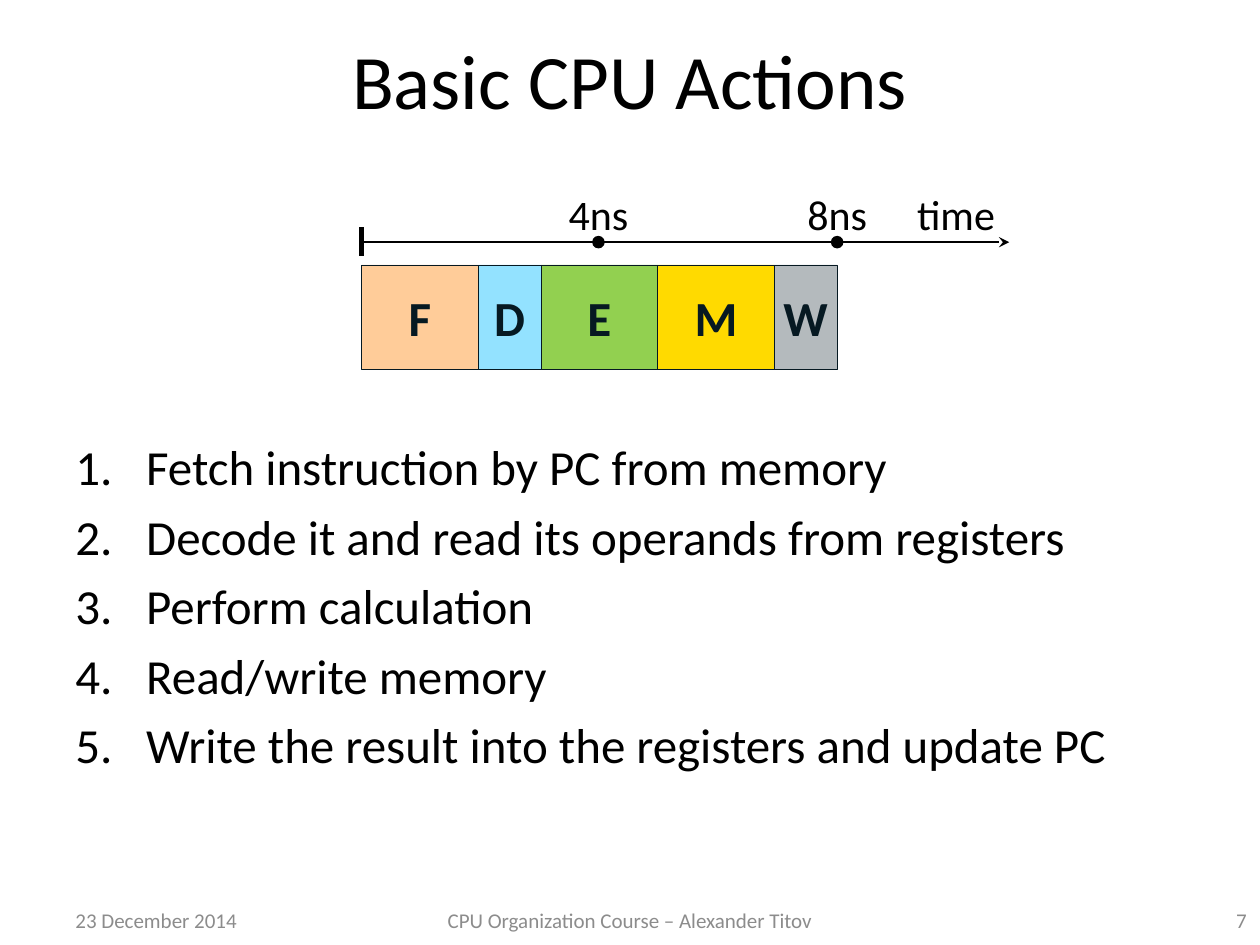
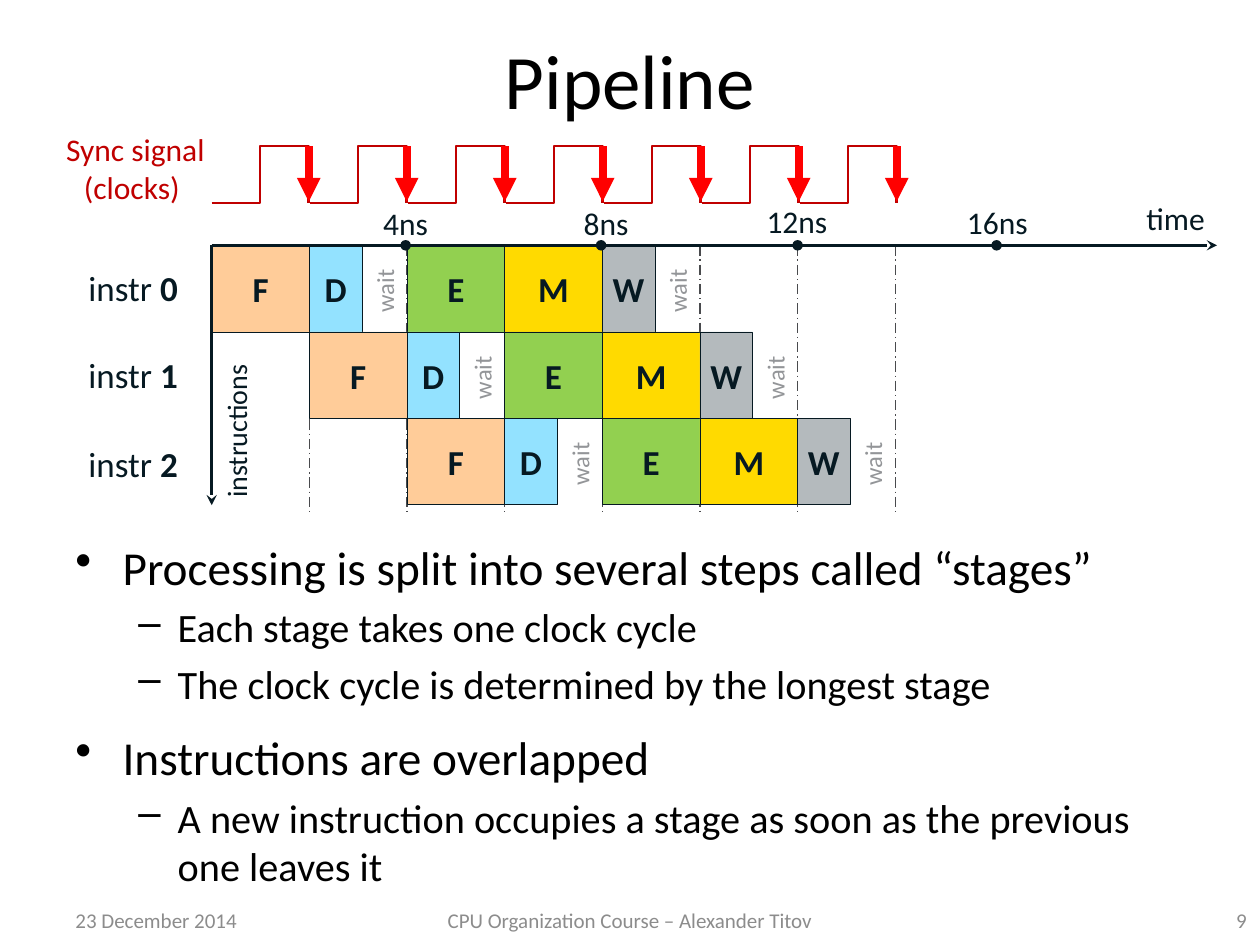
"""Build two slides on basic CPU actions and pipelining."""
from lxml import etree
from pptx import Presentation
from pptx import util as u
from pptx.dml import color
from pptx.enum import dml, shapes, text
from pptx.oxml import ns

FONT = "Calibri"
BLACK, INK, GREY, FOOT = "000000", "061922", "939598", "8C8C8C"
DASH, SIGNAL, CLOCK = "494A4D", "C00000", "FF0000"
LEFT, CENTER, RIGHT = text.PP_ALIGN.LEFT, text.PP_ALIGN.CENTER, text.PP_ALIGN.RIGHT
TOP, MIDDLE = text.MSO_ANCHOR.TOP, text.MSO_ANCHOR.MIDDLE

FOOTER_DATE = "23 December 2014"
FOOTER_COURSE = "CPU Organization Course – Alexander Titov"
STAGES = [
    ("F", "FFCC99", True),
    ("D", "93E2FF", False),
    ("E", "92D050", True),
    ("M", "FFDA00", True),
    ("W", "B4BABD", False),
]

ACTIONS = [
    "Fetch instruction by PC from memory",
    "Decode it and read its operands from registers",
    "Perform calculation",
    "Read/write memory",
    "Write the result into the registers and update PC",
]
ACTION_TICKS = [("4ns", 342, 342, 104.4), ("8ns", 478.4, 478.4, 104.4)]

POINTS = [
    (0, "Processing is split into several steps called “stages”", 5.4),
    (1, "Each stage takes one clock cycle", 4.6),
    (1, "The clock cycle is determined by the longest stage", 4.6),
    (0, "Instructions are overlapped", 12),
    (1, "A new instruction occupies a stage as soon as the previous one leaves it", 4.6),
]
POINT_LEVELS = [(27, 27, 27, "•"), (23, 58.5, 22.5, "–")]
PIPELINE_TICKS = [
    ("4ns", 231.8, 231.8, 113),
    ("8ns", 343.5, 346.3, 113),
    ("12ns", 455.8, 455.4, 111.6),
    ("16ns", 569.5, 569.9, 112.3),
]
INSTRUCTION_TOPS = [148.3, 198, 249.1]
CYCLES = 7


def rgb(value):
    """Return a colour from its hex string."""
    return color.RGBColor.from_string(value)


def points(*values):
    """Return lengths in points."""
    return [u.Pt(value) for value in values]


def add_span(para, words, size, tint, bold=False):
    """Add one run of text to a paragraph."""
    span = para.add_run()
    span.text = words
    span.font.name, span.font.size, span.font.bold = FONT, u.Pt(size), bold
    span.font.color.rgb = rgb(tint)


def fill_frame(frame, lines, size, tint, align=LEFT, anchor=TOP, wrap=False):
    """Write lines, each a list of (words, bold) runs, into a text frame."""
    frame.word_wrap, frame.vertical_anchor = wrap, anchor
    for index, line in enumerate(lines):
        para = frame.add_paragraph() if index else frame.paragraphs[0]
        para.alignment = align
        for words, bold in line:
            add_span(para, words, size, tint, bold)


def add_label(slide, area, words, size, tint, align=LEFT, anchor=TOP, wrap=False):
    """Add a text box holding one plain line."""
    box = slide.shapes.add_textbox(*points(*area))
    fill_frame(box.text_frame, [[(words, False)]], size, tint, align, anchor, wrap)
    return box


def add_shape(slide, kind, area, fill, outline=None):
    """Add a flat preset shape."""
    shape = slide.shapes.add_shape(kind, *points(*area))
    shape.shadow.inherit = False
    shape.fill.solid()
    shape.fill.fore_color.rgb = rgb(fill)
    if outline:
        shape.line.color.rgb, shape.line.width = rgb(outline), u.Pt(0.25)
    else:
        shape.line.fill.background()
    return shape


def add_line(slide, ends, tint, width, dash=None, head=None):
    """Add a straight line with an optional dash and arrowhead."""
    line = slide.shapes.add_connector(shapes.MSO_CONNECTOR.STRAIGHT, *points(*ends))
    line.line.color.rgb, line.line.width = rgb(tint), u.Pt(width)
    if dash:
        line.line.dash_style = dash
    properties = line._element.spPr
    if head:
        outline = properties.find(ns.qn("a:ln"))
        etree.SubElement(outline, ns.qn("a:tailEnd"), type=head)
    etree.SubElement(properties, ns.qn("a:effectLst"))


def add_stage(slide, stage, left, top, width, height, size):
    """Add one coloured stage block."""
    letter, fill, _ = stage
    block = add_shape(slide, shapes.MSO_SHAPE.RECTANGLE, (left, top, width, height), fill, INK)
    fill_frame(block.text_frame, [[(letter, True)]], size, INK, CENTER, MIDDLE)


def add_ticks(slide, ticks, axis, dot, size, tint):
    """Mark times on an axis with dots and labels."""
    for words, x, label_x, top in ticks:
        add_shape(slide, shapes.MSO_SHAPE.OVAL, (x - dot / 2, axis - dot / 2, dot, dot), tint)
        add_label(slide, (label_x - 25, top, 50, 1.5 * size), words, size, tint, CENTER)


def add_item(frame, words, size, margin, hanging, before, bullet):
    """Add a hanging paragraph with a bullet tag and its attributes."""
    para = frame.paragraphs[0] if not frame.paragraphs[0].runs else frame.add_paragraph()
    add_span(para, words, size, BLACK)
    para.space_before = u.Pt(before)
    properties = para._p.get_or_add_pPr()
    properties.set("marL", str(u.Pt(margin)))
    properties.set("indent", str(-u.Pt(hanging)))
    tag, attributes = bullet
    etree.SubElement(properties, ns.qn(tag), **attributes)


def add_body(slide, top, height):
    """Add the wrapped body text box and return its frame."""
    frame = slide.shapes.add_textbox(*points(36, top, 648, height)).text_frame
    frame.word_wrap = True
    return frame


def add_page(deck, title, number):
    """Add a blank slide with title and footers."""
    slide = deck.slides.add_slide(deck.slide_layouts[6])
    add_label(slide, (36, 0, 648, 90), title, 44, BLACK, CENTER, MIDDLE, True)
    for left, width, words, align in [
        (36, 168, FOOTER_DATE, LEFT),
        (246, 228, FOOTER_COURSE, CENTER),
        (551.5, 168, number, RIGHT),
    ]:
        add_label(slide, (left, 511.2, width, 28.8), words, 12, FOOT, align, MIDDLE, True)
    return slide


def build_actions(deck):
    """Build the slide on the five basic actions."""
    slide = add_page(deck, "Basic CPU Actions", "7")
    start, axis = 206.6, 138.4
    left = start
    for stage in STAGES:
        width = 66.6 if stage[2] else 36
        add_stage(slide, stage, left, 151.4, width, 59.5, 28)
        left += width
    add_line(slide, (start, axis, 576.7, axis), BLACK, 1.5, head="stealth")
    add_line(slide, (start, 146.2, start, 129.6), BLACK, 3)
    add_ticks(slide, ACTION_TICKS, axis, 7.2, 24, BLACK)
    add_label(slide, (517, 104.4, 59.8, 36), "time", 24, BLACK)
    frame = add_body(slide, 246.2, 242.6)
    for action in ACTIONS:
        add_item(frame, action, 28, 40.5, 40.5, 6, ("a:buAutoNum", {"type": "arabicPeriod"}))


def add_pulse(slide, left):
    """Add one clock pulse with its falling-edge arrow."""
    low, high, right = 115.9, 83.5, left + 55.4
    middle = (left + right) / 2
    outline = [(middle, low), (middle, high), (right, high), (right, low)]
    builder = slide.shapes.build_freeform(*points(left, low))
    builder.add_line_segments([points(*corner) for corner in outline], close=False)
    pulse = builder.convert_to_shape()
    pulse.shadow.inherit = False
    pulse.fill.background()
    pulse.line.color.rgb, pulse.line.width = rgb(SIGNAL), u.Pt(1.5)
    add_line(slide, (right, high, right, 115.2), CLOCK, 4.5, head="triangle")


def build_pipeline(deck):
    """Build the slide on overlapped instructions."""
    slide = add_page(deck, "Pipeline", "9")
    start, axis, cycle, row_height = 121, 140.2, 55.8, 49.4
    for step in range(1, CYCLES + 1):
        x = start + step * cycle
        add_line(slide, (x, axis, x, 293.8), DASH, 0.75, dml.MSO_LINE.LONG_DASH_DOT)

    for row, label_top in enumerate(INSTRUCTION_TOPS):
        top = axis + row * row_height
        for step, stage in enumerate(STAGES):
            left = start + (row + step) * cycle
            add_stage(slide, stage, left, top, cycle if stage[2] else 30, row_height, 20)
            if not stage[2]:
                area = (left + 22.5, top + 12.8, 41, 24.4)
                add_label(slide, area, "wait", 14, GREY).rotation = 270
        box = slide.shapes.add_textbox(*points(27.4, label_top, 81.3, 31.7))
        runs = [("instr ", False), (str(row), True)]
        fill_frame(box.text_frame, [runs], 20, INK, RIGHT, MIDDLE, True)

    box = slide.shapes.add_textbox(*points(30.2, 70.6, 94.3, 51))
    fill_frame(box.text_frame, [[("Sync signal", False)], [("(clocks) ", False)]], 18, SIGNAL, CENTER)
    for pulse in range(CYCLES):
        add_pulse(slide, start + pulse * 56)

    add_line(slide, (start, axis, 695.5, axis), INK, 1.5, head="stealth")
    add_line(slide, (start, axis, start, 288.7), INK, 1.5, head="stealth")
    add_ticks(slide, PIPELINE_TICKS, axis, 6, 18, INK)
    add_label(slide, (648, 110.2, 49, 28.8), "time", 18, INK)
    add_label(slide, (89.3, 232.6, 91.4, 26.6), "instructions", 16, INK).rotation = 270

    frame = add_body(slide, 303.8, 186.5)
    for level, words, before in POINTS:
        size, margin, hanging, mark = POINT_LEVELS[level]
        add_item(frame, words, size, margin, hanging, before, ("a:buChar", {"char": mark}))


def main():
    """Build and save the deck."""
    deck = Presentation()
    deck.slide_width, deck.slide_height = points(720, 540)
    build_actions(deck)
    build_pipeline(deck)
    deck.save("out.pptx")


if __name__ == "__main__":
    main()
